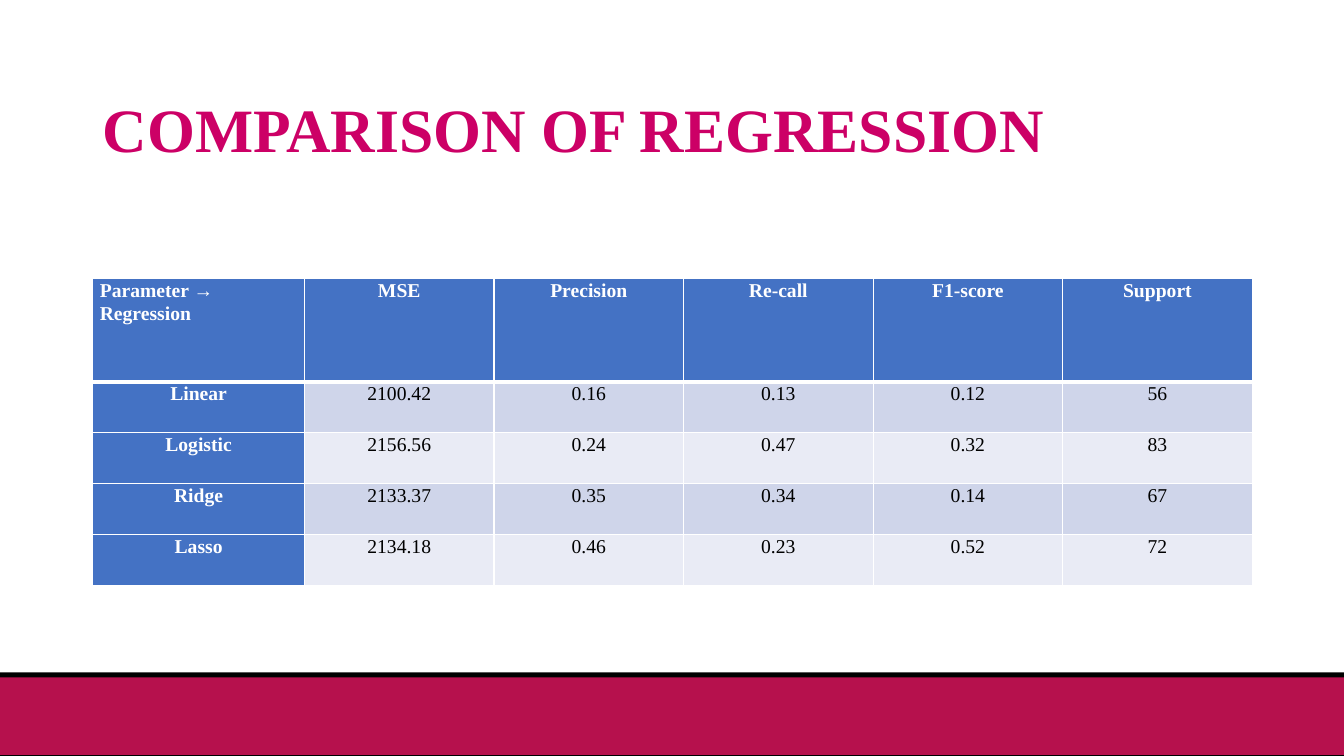
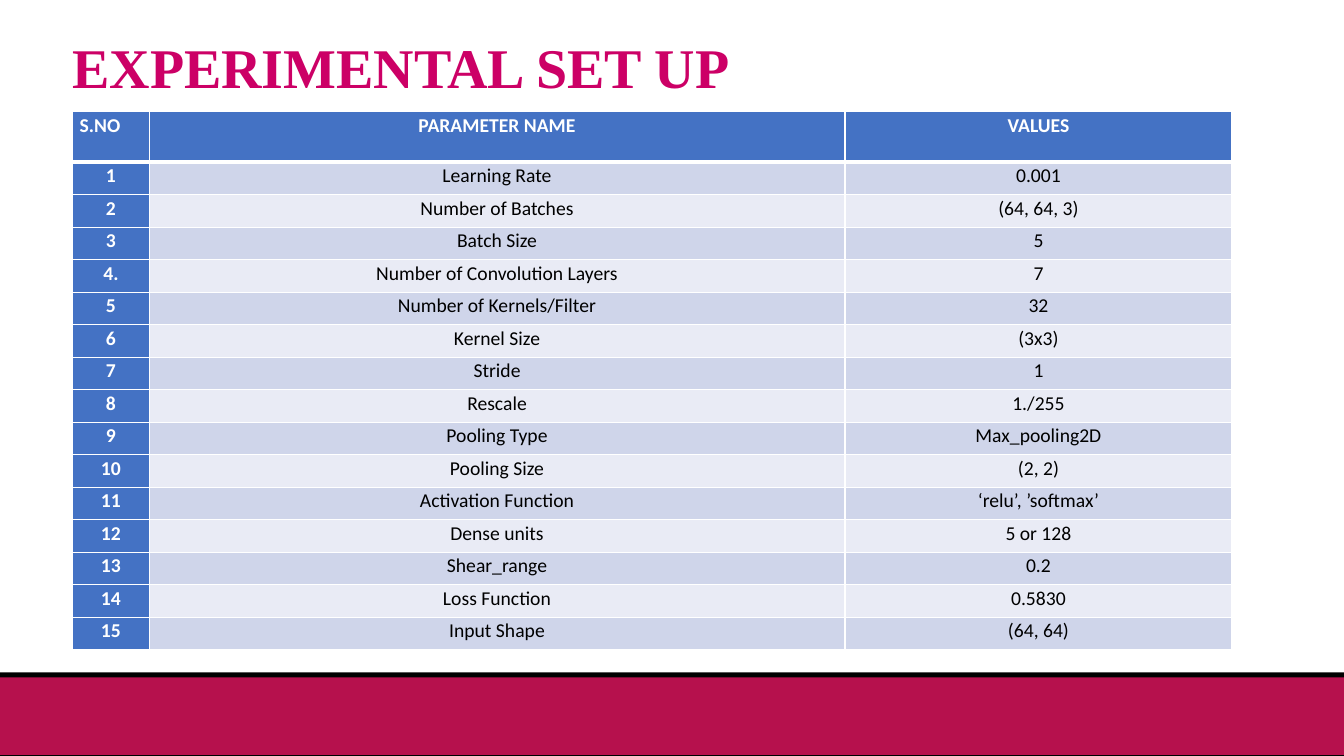
"""Build two slides of regression and experiment tables above a shared footer band."""
import dataclasses
import typing

import pptx
import pptx.dml.color
import pptx.enum.shapes
import pptx.enum.text
import pptx.oxml
import pptx.oxml.ns
import pptx.slide
import pptx.table
import pptx.text.text
import pptx.util

Inches = pptx.util.Inches
Pt = pptx.util.Pt
ALIGN = pptx.enum.text.PP_ALIGN
ANCHOR = pptx.enum.text.MSO_ANCHOR

COLORS = {
    "title": "CC0066",
    "rule": "000000",
    "footer": "B6114D",
    "header": "4472C4",
    "odd": "CFD5EA",
    "even": "E9EBF5",
    "light": "FFFFFF",
    "dark": "000000",
}
SLIDE_WIDTH, SLIDE_HEIGHT = 13.33, 7.5
TABLE_WIDTH = 11.5
TITLE_FONT = "Times New Roman"
TITLE_FRAME = {"word_wrap": True, "vertical_anchor": ANCHOR.MIDDLE}
CELL_FORMAT = {
    "margin_left": Inches(0.07),
    "margin_right": Inches(0.07),
    "margin_top": 0,
    "margin_bottom": 0,
    "vertical_anchor": ANCHOR.TOP,
}


@dataclasses.dataclass(frozen=True)
class Band:
    top: float
    bottom: float
    color: str


@dataclasses.dataclass(frozen=True)
class Title:
    text: str
    left: float
    top: float
    height: float
    size: int


@dataclasses.dataclass(frozen=True)
class Grid:
    left: float
    top: float
    height: float
    header_height: float
    font: str
    widths: tuple[float, ...]
    rows: tuple[tuple[str, ...], ...]


FOOTER = (Band(6.67, SLIDE_HEIGHT, "rule"), Band(6.72, 7.49, "footer"))

PAGES = (
    (
        Title("COMPARISON OF REGRESSION", 0.92, 0.59, 1.45, 44),
        Grid(0.92, 2.76, 3.05, 1.03, "Times New Roman", (2.1,) + (1.88,) * 5, (
            ("Parameter →\nRegression", "MSE", "Precision", "Re-call", "F1-score", "Support"),
            ("Linear", "2100.42", "0.16", "0.13", "0.12", "56"),
            ("Logistic", "2156.56", "0.24", "0.47", "0.32", "83"),
            ("Ridge", "2133.37", "0.35", "0.34", "0.14", "67"),
            ("Lasso", "2134.18", "0.46", "0.23", "0.52", "72"),
        )),
    ),
    (
        Title("EXPERIMENTAL SET UP", 0.62, 0.38, 0.63, 40),
        Grid(0.72, 1.11, 5.34, 0.5, "Calibri", (0.76, 6.9, 3.84), (
            ("S.NO", "PARAMETER NAME", "VALUES"),
            ("1", "Learning Rate", "0.001"),
            ("2", "Number of Batches", "(64, 64, 3)"),
            ("3", "Batch Size", "5"),
            ("4.", "Number of Convolution Layers", "7"),
            ("5", "Number of Kernels/Filter", "32"),
            ("6", "Kernel Size", "(3x3)"),
            ("7", "Stride", "1"),
            ("8", "Rescale", "1./255"),
            ("9", "Pooling Type", "Max_pooling2D"),
            ("10", "Pooling Size", "(2, 2)"),
            ("11", "Activation Function", "‘relu’, ’softmax’"),
            ("12", "Dense units", "5 or 128"),
            ("13", "Shear_range", "0.2"),
            ("14", "Loss Function", "0.5830"),
            ("15", "Input Shape", "(64, 64)"),
        )),
    ),
)


def rgb(name: str) -> pptx.dml.color.RGBColor:
    return pptx.dml.color.RGBColor.from_string(COLORS[name])


def apply_format(target: typing.Any, values: dict[str, typing.Any]) -> None:
    for attribute, value in values.items():
        setattr(target, attribute, value)


def format_paragraph(paragraph: pptx.text.text._Paragraph, color: str, spacing: float,
                     alignment: ALIGN, font: dict[str, typing.Any]) -> None:
    apply_format(paragraph, {"line_spacing": spacing, "alignment": alignment})
    for run in paragraph.runs:
        apply_format(run.font, font)
        run.font.color.rgb = rgb(color)


def add_band(slide: pptx.slide.Slide, band: Band) -> None:
    shape = slide.shapes.add_shape(
        pptx.enum.shapes.MSO_SHAPE.RECTANGLE, 0, Inches(band.top),
        Inches(SLIDE_WIDTH), Inches(band.bottom - band.top))
    shape.shadow.inherit = False
    shape.fill.solid()
    shape.fill.fore_color.rgb = rgb(band.color)
    shape.line.fill.background()


def add_title(slide: pptx.slide.Slide, title: Title) -> None:
    shape = slide.shapes.add_textbox(
        Inches(title.left), Inches(title.top), Inches(TABLE_WIDTH), Inches(title.height))
    apply_format(shape.text_frame, TITLE_FRAME)
    paragraph = shape.text_frame.paragraphs[0]
    paragraph.text = title.text
    format_paragraph(paragraph, "title", 0.9, ALIGN.LEFT,
                     {"name": TITLE_FONT, "size": Pt(title.size), "bold": True})


def add_borders(cell: pptx.table._Cell, row: int) -> None:
    properties = cell._tc.get_or_add_tcPr()
    heavy = {0: "B", 1: "T"}.get(row)
    for side in "LRTB":
        width = Pt(3 if side == heavy else 1)
        properties.append(pptx.oxml.parse_xml(
            f'<a:ln{side} {pptx.oxml.ns.nsdecls("a")} w="{width}"><a:solidFill>'
            f'<a:srgbClr val="{COLORS["light"]}"/></a:solidFill></a:ln{side}>'))


def fill_cell(cell: pptx.table._Cell, text: str, row: int, column: int, font: str) -> None:
    is_heading = row == 0 or column == 0
    is_corner = row == 0 and column == 0
    apply_format(cell, CELL_FORMAT)
    add_borders(cell, row)
    cell.fill.solid()
    cell.fill.fore_color.rgb = rgb("header" if is_heading else "odd" if row % 2 else "even")
    cell.text = text
    for paragraph in cell.text_frame.paragraphs:
        format_paragraph(paragraph, "light" if is_heading else "dark", 1.07,
                         ALIGN.LEFT if is_corner else ALIGN.CENTER,
                         {"name": font, "size": Pt(14), "bold": is_heading})


def add_grid(slide: pptx.slide.Slide, grid: Grid) -> None:
    table = slide.shapes.add_table(
        len(grid.rows), len(grid.widths), Inches(grid.left), Inches(grid.top),
        Inches(TABLE_WIDTH), Inches(grid.height)).table
    for column, width in zip(table.columns, grid.widths):
        column.width = Inches(width)
    body_height = (grid.height - grid.header_height) / (len(grid.rows) - 1)
    for row, texts in enumerate(grid.rows):
        table.rows[row].height = Inches(body_height if row else grid.header_height)
        for column, text in enumerate(texts):
            fill_cell(table.cell(row, column), text, row, column, grid.font)


def main() -> None:
    presentation = pptx.Presentation()
    presentation.slide_width = Inches(SLIDE_WIDTH)
    presentation.slide_height = Inches(SLIDE_HEIGHT)
    for title, grid in PAGES:
        slide = presentation.slides.add_slide(presentation.slide_layouts[6])
        for band in FOOTER:
            add_band(slide, band)
        add_title(slide, title)
        add_grid(slide, grid)
    presentation.save("out.pptx")


if __name__ == "__main__":
    main()
